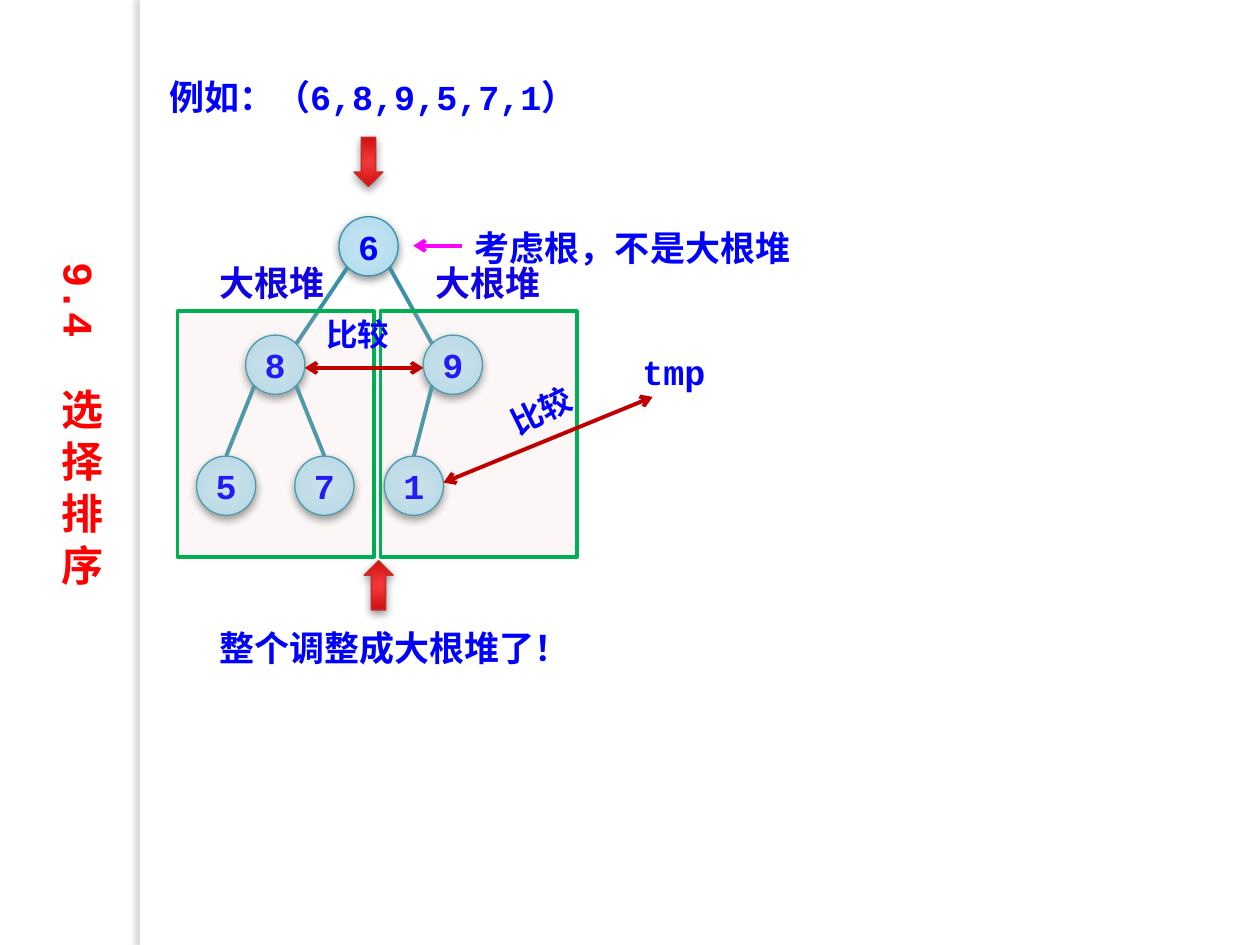
from lxml import etree
from pptx import Presentation
from pptx.dml.color import RGBColor
from pptx.enum.shapes import MSO_CONNECTOR, MSO_SHAPE
from pptx.enum.text import MSO_ANCHOR, PP_ALIGN
from pptx.oxml import parse_xml
from pptx.oxml.ns import nsdecls, qn
from pptx.util import Inches, Pt

RECTANGLE, OVAL = MSO_SHAPE.RECTANGLE, MSO_SHAPE.OVAL
DOWN_ARROW, UP_ARROW = MSO_SHAPE.DOWN_ARROW, MSO_SHAPE.UP_ARROW
STRAIGHT = MSO_CONNECTOR.STRAIGHT
TOP, MIDDLE, CENTER = MSO_ANCHOR.TOP, MSO_ANCHOR.MIDDLE, PP_ALIGN.CENTER
WHITE = RGBColor(0xFF, 0xFF, 0xFF)
BLUE = RGBColor(0x00, 0x00, 0xFF)
INDIGO = RGBColor(0x10, 0x00, 0xE4)
RED = RGBColor(0xFF, 0x00, 0x00)
DARK_RED = RGBColor(0xC0, 0x00, 0x00)
ARROW_EDGE = RGBColor(0xC3, 0x2D, 0x2E)
TEAL = RGBColor(0x38, 0x91, 0xA7)
GREEN = RGBColor(0x00, 0xB0, 0x50)
ROSE = RGBColor(0xEA, 0xCC, 0xC3)
MAGENTA = RGBColor(0xFF, 0x00, 0xFF)
MONO, CHINESE = "Courier New", "Noto Sans CJK SC"

NODE_GRADIENT = [(0, "C9E6F2"), (50, "BBE0EF"), (97, "A4D8ED"), (100, "9BD7EE")]
ARROW_GRADIENT = [(0, "EF3737"), (15, "EE3637"), (62, "DB1C1C"), (97, "C70C0D"), (100, "C30001")]
SOFT_SHADOW = ("000000", 43, 5, 2, 90)
STRIP_SHADOW = ("736F63", 25, 3, 3, 180)

TITLE = "9.4  选 择 排 序"
NODE_SIZE = 0.47
DIAGONAL = 0.165
NODES = {
    "6": (2.69, 1.72),
    "8": (1.95, 2.66),
    "9": (3.36, 2.66),
    "5": (1.56, 3.62),
    "7": (2.34, 3.62),
    "1": (3.05, 3.62),
}
TREE = {"6": {"left": "8", "right": "9"}, "8": {"left": "5", "right": "7"}, "9": {"left": "1"}}
SUBTREE_LEFTS = [3.02, 1.41]
BLOCK_ARROWS = [(DOWN_ARROW, 2.81, 1.09), (UP_ARROW, 2.89, 4.45)]
POINTERS = [
    ((3.67, 1.95), (3.28, 1.95), MAGENTA, ["tailEnd"]),
    ((2.42, 2.92), (3.36, 2.92), DARK_RED, ["headEnd", "tailEnd"]),
    ((3.52, 3.83), (5.18, 3.15), DARK_RED, ["headEnd", "tailEnd"]),
]
LABELS = [
    ("例如：（6,8,9,5,7,1）", (1.25, 0.55, 5.31, 0.44), MONO, 20, BLUE, 0),
    ("大根堆", (1.64, 2.03, 1.25, 0.44), CHINESE, 20, INDIGO, 0),
    ("大根堆", (3.36, 2.03, 1.25, 0.44), CHINESE, 20, INDIGO, 0),
    ("考虑根，不是大根堆", (3.67, 1.75, 3.2, 0.44), CHINESE, 20, BLUE, 0),
    ("比较", (2.49, 2.45, 0.78, 0.4), CHINESE, 18, BLUE, 0),
    ("tmp", (5, 2.73, 0.7, 0.44), MONO, 20, BLUE, 0),
    ("比较", (3.94, 3.04, 0.78, 0.4), CHINESE, 18, BLUE, 333.7),
    ("整个调整成大根堆了！", (1.64, 4.92, 3.13, 0.44), CHINESE, 20, BLUE, 0),
]


def write_text(shape, text, font_name, size, color, alignment=None, **frame_format):
    frame = shape.text_frame
    for name, value in {"word_wrap": True, **frame_format}.items():
        setattr(frame, name, value)
    paragraph = frame.paragraphs[0]
    paragraph.alignment = alignment
    run = paragraph.add_run()
    run.text = text
    for name, value in {"name": font_name, "size": Pt(size), "bold": True}.items():
        setattr(run.font, name, value)
    run.font.color.rgb = color
    east_asian = etree.Element(qn("a:ea"), typeface=CHINESE)
    run.font._element.find(qn("a:latin")).addnext(east_asian)


def add_box(shapes, kind, box, fill, line=None, width=0.75):
    shape = shapes.add_shape(kind, *map(Inches, box))
    shape.shadow.inherit = False
    shape.fill.solid()
    shape.fill.fore_color.rgb = fill
    if line is None:
        shape.line.fill.background()
    else:
        shape.line.color.rgb = line
        shape.line.width = Pt(width)
    return shape


def set_gradient(shape, stops):
    stop_xml = "".join(
        f'<a:gs pos="{position * 1000}"><a:srgbClr val="{color}"/></a:gs>' for position, color in stops
    )
    gradient = parse_xml(
        f'<a:gradFill {nsdecls("a")} rotWithShape="1"><a:gsLst>{stop_xml}</a:gsLst><a:path path="circle">'
        '<a:fillToRect l="50000" t="50000" r="50000" b="50000"/></a:path></a:gradFill>'
    )
    properties = shape._element.spPr
    properties.replace(properties.find(qn("a:solidFill")), gradient)


def set_shadow(shape, color, opacity, blur, distance, angle):
    shadow = parse_xml(
        f'<a:outerShdw {nsdecls("a")} blurRad="{Pt(blur)}" dist="{Pt(distance)}" dir="{angle * 60000}" '
        f'rotWithShape="0"><a:srgbClr val="{color}"><a:alpha val="{opacity * 1000}"/></a:srgbClr></a:outerShdw>'
    )
    shape._element.spPr.find(qn("a:effectLst")).append(shadow)


def add_line(shapes, start, end, color, arrowheads=()):
    line = shapes.add_connector(STRAIGHT, *map(Inches, (*start, *end)))
    line.line.color.rgb = color
    line.line.width = Pt(2.25)
    properties = line._element.spPr
    for end_name in arrowheads:
        etree.SubElement(properties.find(qn("a:ln")), qn(f"a:{end_name}"), type="arrow")
    etree.SubElement(properties, qn("a:effectLst"))


def add_tree(shapes):
    for value, (left, top) in NODES.items():
        node = add_box(shapes, OVAL, (left, top, NODE_SIZE, NODE_SIZE), WHITE, TEAL)
        set_gradient(node, NODE_GRADIENT)
        set_shadow(node, *SOFT_SHADOW)
        write_text(node, value, MONO, 20, BLUE, CENTER, margin_left=0, margin_right=0, vertical_anchor=MIDDLE)
    radius = NODE_SIZE / 2
    for parent, children in TREE.items():
        parent_x, parent_y = (length + radius for length in NODES[parent])
        for side, child in children.items():
            offset = -DIAGONAL if side == "left" else DIAGONAL
            child_x, child_y = (length + radius for length in NODES[child])
            if child in TREE:
                end = (child_x - offset, child_y - DIAGONAL)
            else:
                end = (child_x, child_y - radius)
            add_line(shapes, (parent_x + offset, parent_y + DIAGONAL), end, TEAL)


def main():
    presentation = Presentation()
    presentation.slide_width, presentation.slide_height = Inches(10), Inches(7.5)
    slide = presentation.slides.add_slide(presentation.slide_layouts[5])
    shapes = slide.shapes

    title = shapes.title
    title.left, title.top, title.width, title.height = map(Inches, (0.33, 2.03, 0.61, 3.2))
    write_text(title, TITLE, MONO, 24, RED, CENTER, vertical_anchor=TOP)
    title.text_frame._txBody.bodyPr.set("vert", "eaVert")

    strip = add_box(shapes, RECTANGLE, (1.11, 0, 0.08, 7.5), WHITE)
    set_shadow(strip, *STRIP_SHADOW)
    add_tree(shapes)

    for left in SUBTREE_LEFTS:
        subtree = add_box(shapes, RECTANGLE, (left, 2.47, 1.56, 1.95), ROSE, GREEN, 2)
        color = subtree._element.spPr.find(qn("a:solidFill"))[0]
        etree.SubElement(color, qn("a:alpha"), val="14000")
    for kind, left, top in BLOCK_ARROWS:
        arrow = add_box(shapes, kind, (left, top, 0.23, 0.39), RED, ARROW_EDGE)
        set_gradient(arrow, ARROW_GRADIENT)
        set_shadow(arrow, *SOFT_SHADOW)
    for pointer in POINTERS:
        add_line(shapes, *pointer)
    for text, box, font_name, size, color, rotation in LABELS:
        label = shapes.add_textbox(*map(Inches, box))
        label.rotation = rotation
        write_text(label, text, font_name, size, color)

    presentation.save("out.pptx")


if __name__ == "__main__":
    main()
